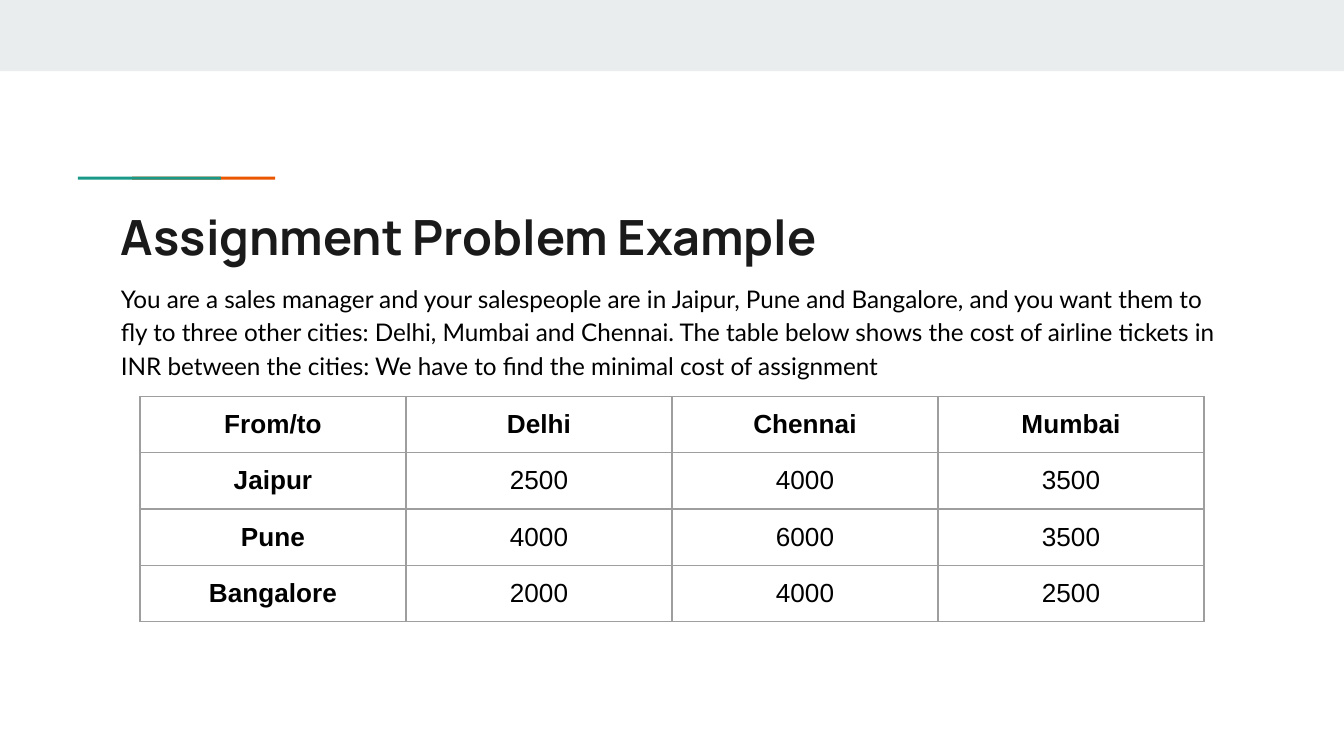
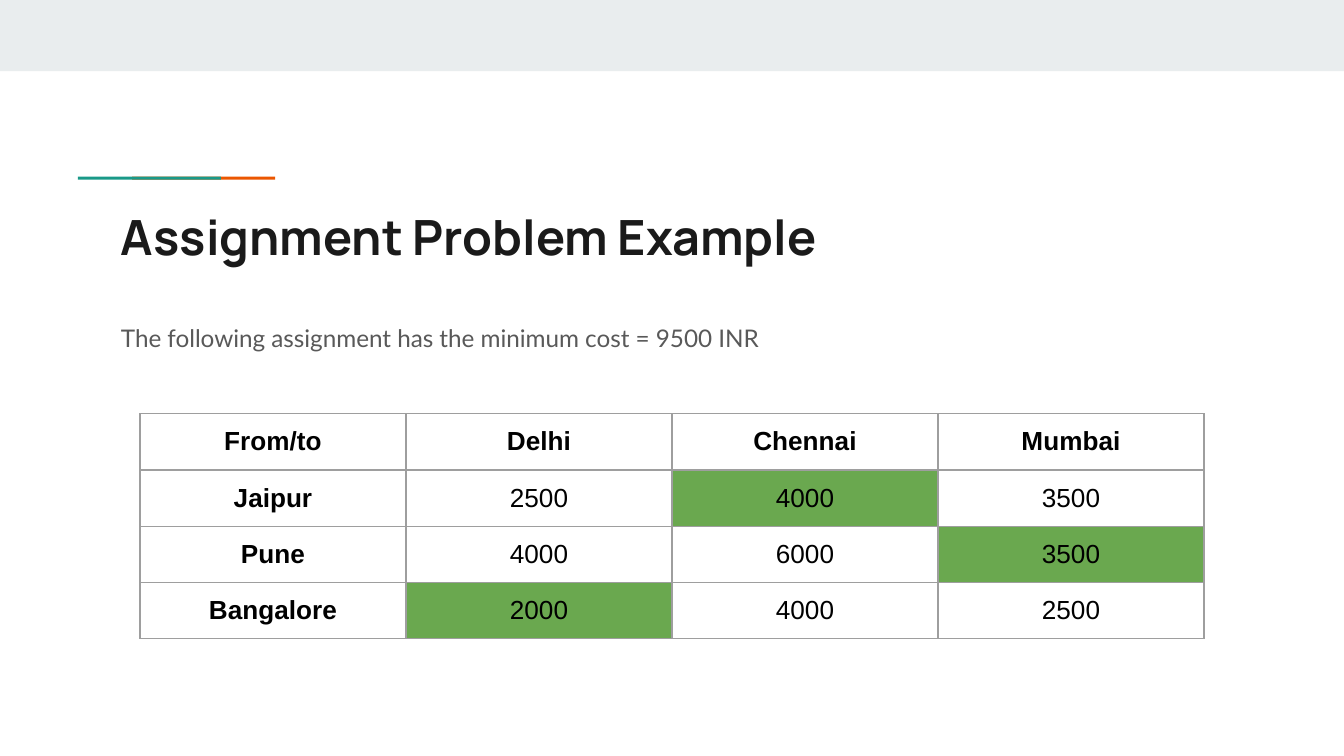
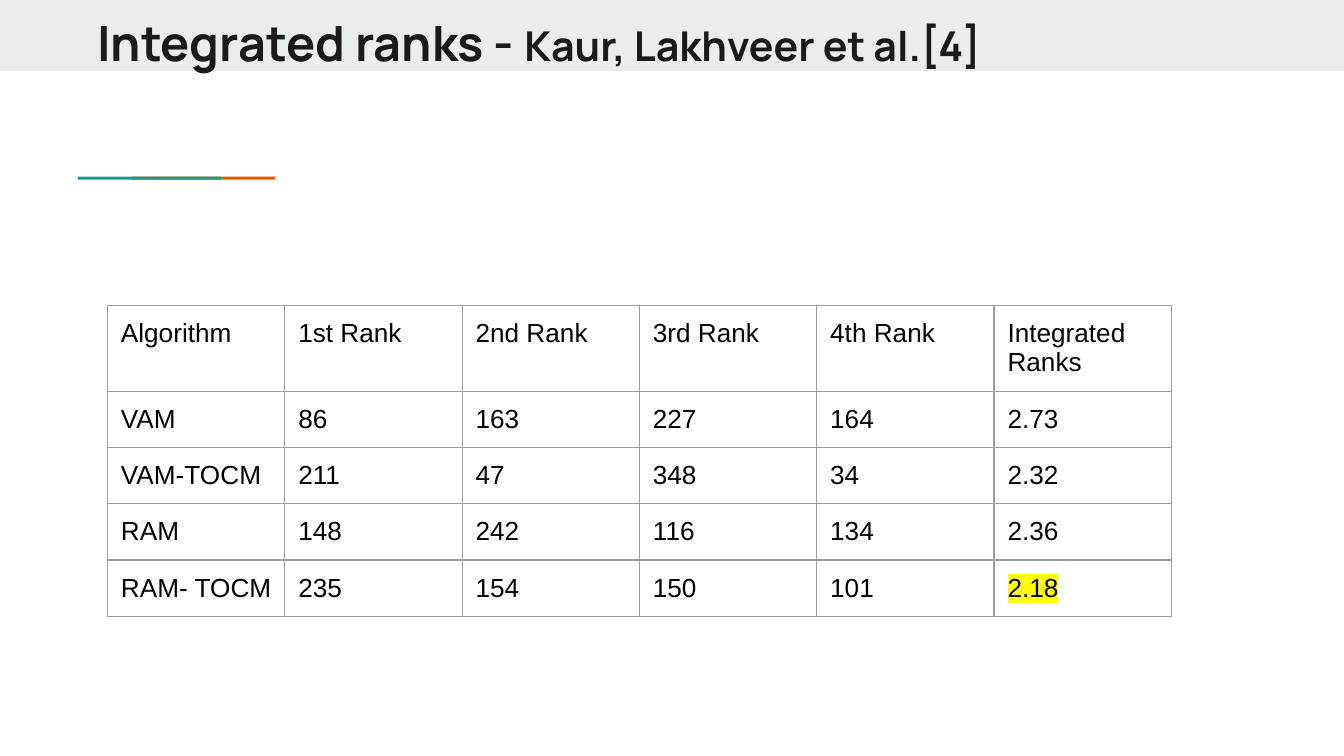
from lxml import etree
from pptx import Presentation
from pptx.dml.color import RGBColor
from pptx.enum.shapes import MSO_SHAPE
from pptx.enum.text import MSO_ANCHOR, MSO_AUTO_SIZE, PP_ALIGN
from pptx.oxml.ns import qn
from pptx.util import Pt

RECTANGLE = MSO_SHAPE.RECTANGLE
TOP = MSO_ANCHOR.TOP
NO_AUTOFIT = MSO_AUTO_SIZE.NONE
LEFT, CENTER = PP_ALIGN.LEFT, PP_ALIGN.CENTER

COLORS = {
    "band": "E9EDEE",
    "teal": "1A9988",
    "orange": "EB5600",
    "title": "1A1A1A",
    "black": "000000",
    "gray": "595959",
    "border": "9E9E9E",
    "chosen": "6AA84F",
    "highlight": "FFFF00",
}
TITLE_FONT, BODY_FONT, TABLE_FONT = "Manrope", "Lato", "Arial"
SLIDE_WIDTH, SLIDE_HEIGHT = 720, 405
TEXT_LEFT, TEXT_WIDTH = 57.6, 605.5
INSET = 7.2
TITLE_AND_BODY, TITLE_ONLY = 1, 5

COSTS = [
    ["From/to", "Delhi", "Chennai", "Mumbai"],
    ["Jaipur", "2500", "4000", "3500"],
    ["Pune", "4000", "6000", "3500"],
    ["Bangalore", "2000", "4000", "2500"],
]
MINIMUM_ASSIGNMENT = {(1, 2), (2, 3), (3, 1)}
RANKS = [
    ["Algorithm", "1st Rank", "2nd Rank", "3rd Rank", "4th Rank", "Integrated Ranks"],
    ["VAM", "86", "163", "227", "164", "2.73"],
    ["VAM-TOCM", "211", "47", "348", "34", "2.32"],
    ["RAM", "148", "242", "116", "134", "2.36"],
    ["RAM- TOCM", "235", "154", "150", "101", "2.18"],
]
BEST_RANK = (4, 5)


def rgb(name):
    return RGBColor.from_string(COLORS[name])


def add_text(paragraph, text, *, size, font, color="black", bold=False, highlight=None):
    run = paragraph.add_run()
    run.text = text
    run.font.size = Pt(size)
    run.font.name = font
    run.font.bold = bold
    run.font.color.rgb = rgb(color)
    if highlight:
        mark = etree.Element(qn("a:highlight"))
        etree.SubElement(mark, qn("a:srgbClr"), val=COLORS[highlight])
        run.font._element.find(qn("a:solidFill")).addnext(mark)


# Shared decoration, placed behind the placeholders
def add_bar(slide, position, left, top, width, height, color):
    shape = slide.shapes.add_shape(RECTANGLE, Pt(left), Pt(top), Pt(width), Pt(height))
    shape.shadow.inherit = False
    shape.fill.solid()
    shape.fill.fore_color.rgb = rgb(color)
    shape.line.fill.background()
    slide.shapes.element.insert(2 + position, shape.element)


def add_slide(presentation, layout):
    slide = presentation.slides.add_slide(presentation.slide_layouts[layout])
    add_bar(slide, 0, 0, 0, SLIDE_WIDTH, 38.2, "band")
    for position, (left, color) in enumerate([(70.8, "orange"), (41.8, "teal")], 1):
        add_bar(slide, position, left, 94.7, 76.6, 1.6, color)
    return slide


# Placeholders
def place(placeholder, left, top, height):
    placeholder.left, placeholder.top = Pt(left), Pt(top)
    placeholder.width, placeholder.height = Pt(TEXT_WIDTH), Pt(height)
    frame = placeholder.text_frame
    frame.word_wrap = True
    frame.auto_size = NO_AUTOFIT
    frame.vertical_anchor = TOP
    frame.margin_left = frame.margin_right = Pt(INSET)
    frame.margin_top = frame.margin_bottom = Pt(INSET)
    paragraph = frame.paragraphs[0]
    paragraph.alignment = LEFT
    paragraph.space_before = Pt(0)
    return paragraph


def fill_title(slide, text, left=TEXT_LEFT, top=103.7, height=42.5, citation=None):
    paragraph = place(slide.shapes.title, left, top, height)
    style = {"font": TITLE_FONT, "color": "title", "bold": True}
    add_text(paragraph, text, size=26, **style)
    if citation:
        add_text(paragraph, citation, size=22, **style)


def fill_body(slide, text, top, height, color):
    paragraph = place(slide.placeholders[1], TEXT_LEFT, top, height)
    paragraph.line_spacing = 1.15
    paragraph.space_after = Pt(16)
    properties = paragraph._p.get_or_add_pPr()
    properties.set("marL", "0")
    properties.set("indent", "0")
    etree.SubElement(properties, qn("a:buNone"))
    add_text(paragraph, text, size=13, font=BODY_FONT, color=color)


# Tables
def set_borders(cell):
    properties = cell._tc.get_or_add_tcPr()
    for index, side in enumerate(("lnL", "lnR", "lnT", "lnB")):
        line = etree.Element(qn(f"a:{side}"), w=str(Pt(0.75)))
        fill = etree.SubElement(line, qn("a:solidFill"))
        etree.SubElement(fill, qn("a:srgbClr"), val=COLORS["border"])
        properties.insert(index, line)


def add_table(slide, rows, left, top, header_height=30, headings=False,
              filled=(), highlighted=None):
    width, row_height = 570, 30
    heights = [header_height] + [row_height] * (len(rows) - 1)
    table = slide.shapes.add_table(len(rows), len(rows[0]), Pt(left), Pt(top),
                                   Pt(width), Pt(sum(heights))).table
    table.first_row = table.horz_banding = False
    for column in table.columns:
        column.width = Pt(width / len(rows[0]))
    for row_index, values in enumerate(rows):
        table.rows[row_index].height = Pt(heights[row_index])
        for column_index, value in enumerate(values):
            key = (row_index, column_index)
            cell = table.cell(*key)
            cell.margin_left = cell.margin_right = Pt(INSET)
            cell.margin_top = cell.margin_bottom = Pt(INSET)
            if key in filled:
                cell.fill.solid()
                cell.fill.fore_color.rgb = rgb("chosen")
            else:
                cell.fill.background()
            set_borders(cell)
            paragraph = cell.text_frame.paragraphs[0]
            paragraph.alignment = CENTER if headings else LEFT
            add_text(paragraph, value, size=14, font=TABLE_FONT,
                     bold=headings and 0 in key,
                     highlight="highlight" if key == highlighted else None)


def main():
    presentation = Presentation()
    presentation.slide_width = Pt(SLIDE_WIDTH)
    presentation.slide_height = Pt(SLIDE_HEIGHT)

    # Problem statement
    slide = add_slide(presentation, TITLE_AND_BODY)
    fill_title(slide, "Assignment Problem Example")
    fill_body(slide, "You are a sales manager and your salespeople are in Jaipur, Pune and "
              "Bangalore, and you want them to fly to three other cities: Delhi, Mumbai and "
              "Chennai. The table below shows the cost of airline tickets in INR between the "
              "cities: We have to find the minimal cost of assignment",
              top=142.6, height=199.4, color="black")
    add_table(slide, COSTS, 75, 212.4, headings=True)

    # Minimum cost
    slide = add_slide(presentation, TITLE_AND_BODY)
    fill_title(slide, "Assignment Problem Example")
    fill_body(slide, "The following assignment has the minimum cost = 9500 INR",
              top=163.6, height=178, color="gray")
    add_table(slide, COSTS, 75, 221.6, headings=True, filled=MINIMUM_ASSIGNMENT)

    # Algorithm ranks
    slide = add_slide(presentation, TITLE_ONLY)
    fill_title(slide, "Integrated ranks - ", left=44.8, top=0, height=123.8,
               citation="Kaur, Lakhveer et al.[4]")
    add_table(slide, RANKS, TEXT_LEFT, 163.6, header_height=46, highlighted=BEST_RANK)

    presentation.save("out.pptx")


if __name__ == "__main__":
    main()
